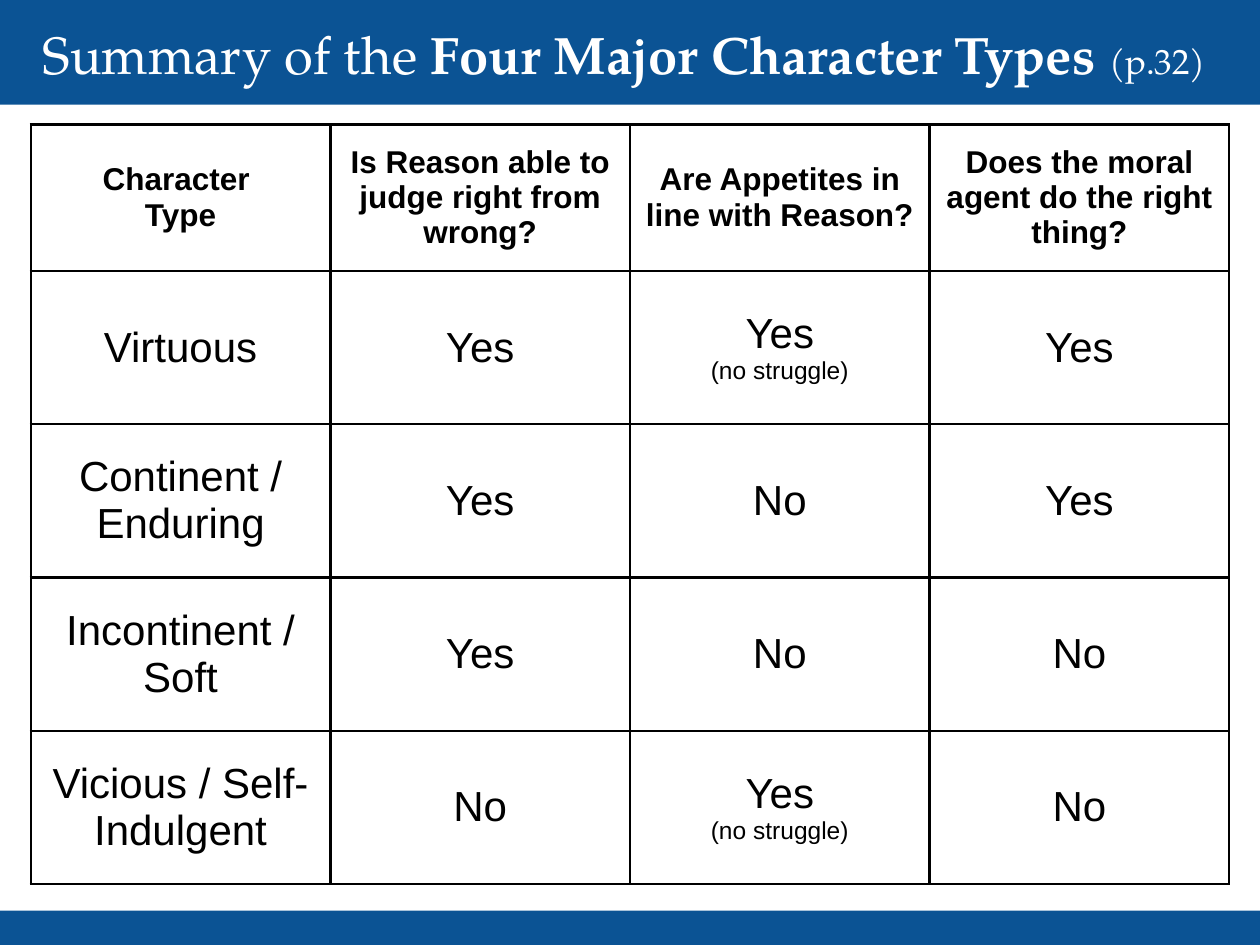
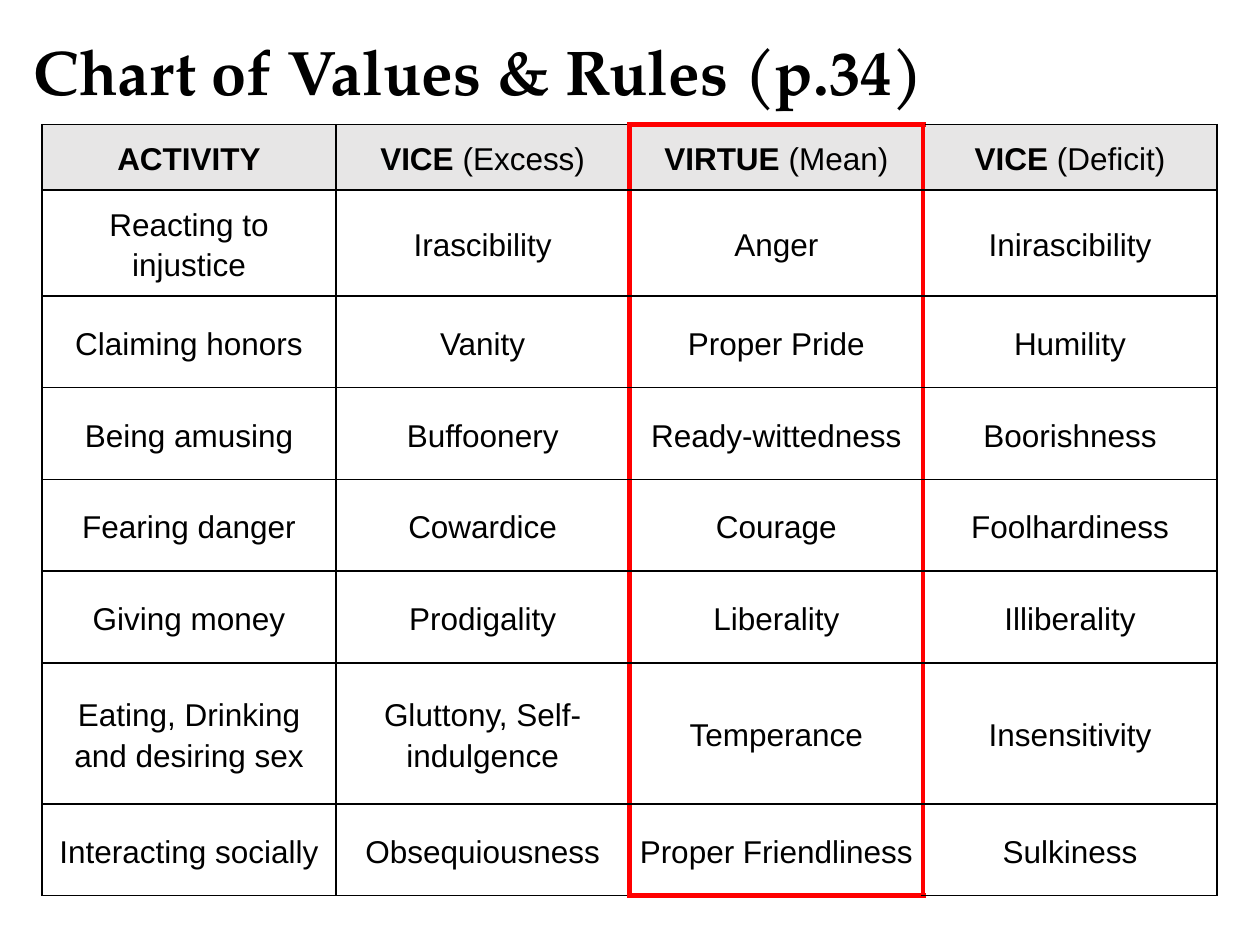
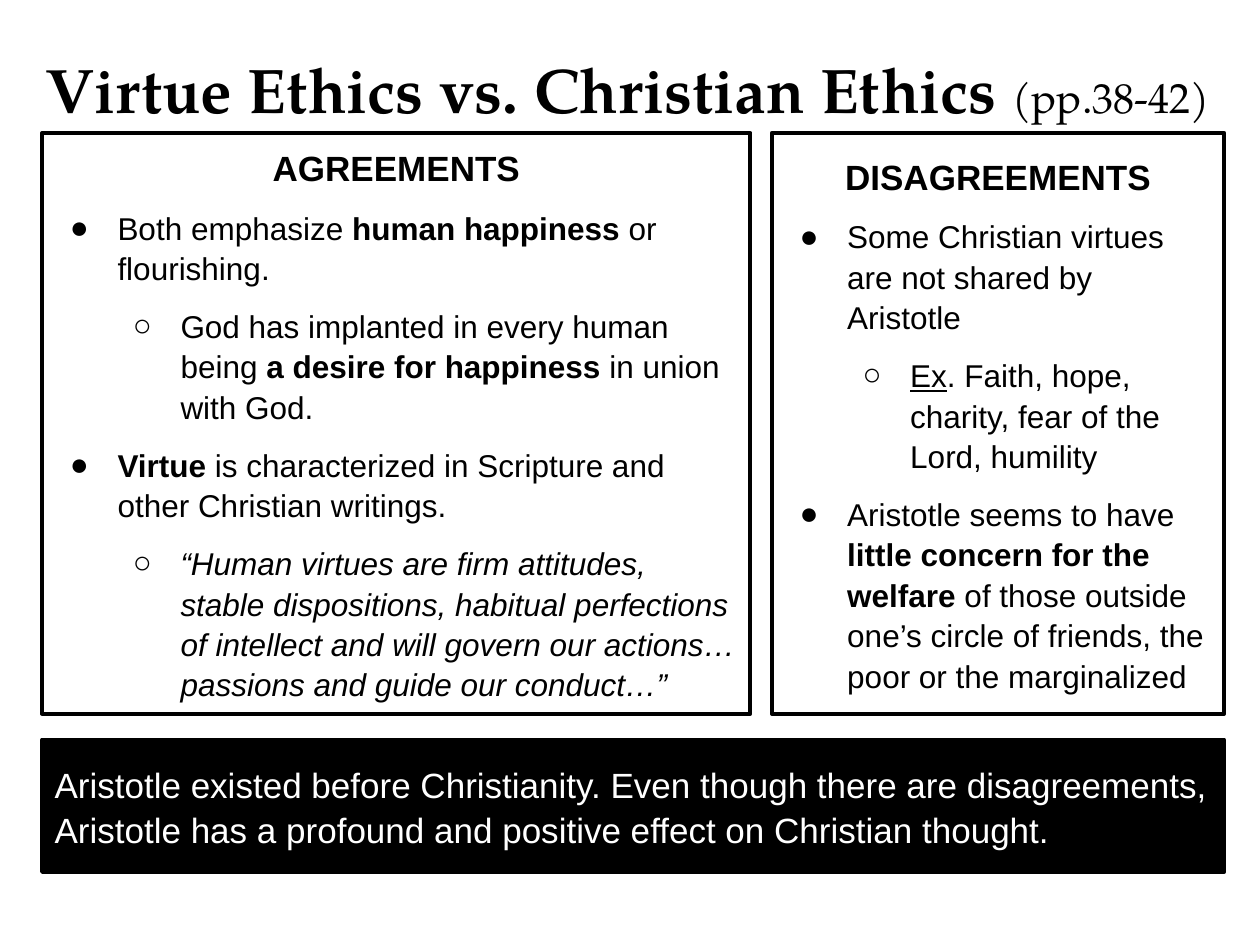
from dataclasses import dataclass
from typing import NamedTuple, Optional, Sequence

from lxml import etree
from pptx import Presentation
from pptx import util as u
from pptx.dml.color import RGBColor
from pptx.enum import shapes, text
from pptx.oxml import ns

Cm, Pt = u.Cm, u.Pt


@dataclass(frozen=True)
class Theme:
    blue: str = "0B5394"
    black: str = "000000"
    white: str = "FFFFFF"
    gray: str = "E7E6E6"
    red: str = "FF0000"
    title_font: str = "TeX Gyre Pagella"
    body_font: str = "Arial"
    title: int = 36
    band_title: int = 30
    heading: int = 20
    body: int = 18
    answer: int = 24
    note: int = 14
    inset: float = 0.25
    cell_side: float = 0.18
    gap: int = 10
    panel_line: float = 2.25


T = Theme()


class Box(NamedTuple):
    left: float
    top: float
    width: float
    height: float


class Run(NamedTuple):
    text: str
    bold: bool = False
    italic: bool = False
    underline: bool = False
    size: Optional[int] = None


class Para(NamedTuple):
    runs: Sequence[Run]
    size: int = T.body
    centered: bool = False
    level: Optional[int] = None


class Border(NamedTuple):
    color: str
    width: float


@dataclass(frozen=True)
class Grid:
    left: float
    top: float
    col_width: float
    row_heights: Sequence[float]
    border: Border
    spacing: Optional[float] = None
    side: float = T.inset
    header_fill: Optional[str] = None
    marked_col: Optional[int] = None
    mark: Border = Border(T.red, 3)


@dataclass(frozen=True)
class Panel:
    box: Box
    paras: Sequence[Para]
    fill: Optional[str] = None
    color: str = T.black


def rgb(color: str) -> RGBColor:
    return RGBColor.from_string(color)


def cm(box: Box) -> list:
    return [Cm(v) for v in box]


def set_insets(target, side: float = T.inset) -> None:
    target.margin_left = target.margin_right = Cm(side)
    target.margin_top = target.margin_bottom = Cm(T.inset)


def add_runs(p, runs: Sequence[Run], size: int, color: str, font: str) -> None:
    for run in runs:
        r = p.add_run()
        r.text = run.text
        f = r.font
        f.name, f.size = font, Pt(run.size or size)
        f.bold, f.italic, f.underline = run.bold, run.italic, run.underline
        f.color.rgb = rgb(color)


def set_bullet(p, level: int) -> None:
    p.level = level
    pPr = p._p.get_or_add_pPr()
    pPr.set("marL", str(Cm(1.27 * (level + 1))))
    pPr.set("indent", str(-Cm(0.96)))
    clr = etree.SubElement(pPr, ns.qn("a:buClr"))
    etree.SubElement(clr, ns.qn("a:srgbClr"), val=T.black)
    etree.SubElement(pPr, ns.qn("a:buFont"), typeface=T.body_font)
    etree.SubElement(pPr, ns.qn("a:buChar"), char="●○"[level])


def write(tf, paras: Sequence[Para], color: str = T.black,
          spacing: Optional[float] = None) -> None:
    for i, para in enumerate(paras):
        p = tf.add_paragraph() if i else tf.paragraphs[0]
        p.alignment = (text.PP_ALIGN.CENTER if para.centered
                       else text.PP_ALIGN.LEFT)
        if spacing:
            p.line_spacing = spacing
        if para.level is not None:
            p.space_before = Pt(T.gap)
            set_bullet(p, para.level)
        add_runs(p, para.runs, para.size, color, T.body_font)


def add_slide(prs, box: Box, runs: Sequence[Run], size: int = T.title,
              color: str = T.black):
    s = prs.slides.add_slide(prs.slide_layouts[5])
    sp = s.shapes.title
    sp.left, sp.top, sp.width, sp.height = cm(box)
    tf = sp.text_frame
    tf.word_wrap = True
    tf.auto_size = text.MSO_AUTO_SIZE.NONE
    tf.vertical_anchor = text.MSO_ANCHOR.TOP
    set_insets(tf)
    p = tf.paragraphs[0]
    p.alignment = text.PP_ALIGN.LEFT
    add_runs(p, runs, size, color, T.title_font)
    return s


def add_rect(s, box: Box, fill: Optional[str], line: Optional[str]):
    sp = s.shapes.add_shape(shapes.MSO_SHAPE.RECTANGLE, *cm(box))
    sp.shadow.inherit = False
    if fill:
        sp.fill.solid()
        sp.fill.fore_color.rgb = rgb(fill)
    else:
        sp.fill.background()
    if line:
        sp.line.color.rgb = rgb(line)
        sp.line.width = Pt(T.panel_line)
    else:
        sp.line.fill.background()
    return sp


def add_band(s, top: float, height: float) -> None:
    band = add_rect(s, Box(0, top, 25.4, height), T.blue, None)
    s.shapes.title.element.addprevious(band.element)


def add_panel(s, panel: Panel) -> None:
    tf = add_rect(s, panel.box, panel.fill, T.black).text_frame
    tf.word_wrap = True
    tf.vertical_anchor = text.MSO_ANCHOR.MIDDLE
    set_insets(tf)
    write(tf, panel.paras, panel.color, spacing=1.07)


def set_borders(cell, borders: dict) -> None:
    tcPr = cell._tc.get_or_add_tcPr()
    for i, side in enumerate("LRTB"):
        border = borders[side]
        ln = etree.Element(ns.qn(f"a:ln{side}"), w=str(Pt(border.width)))
        fill = etree.SubElement(ln, ns.qn("a:solidFill"))
        etree.SubElement(fill, ns.qn("a:srgbClr"), val=border.color)
        tcPr.insert(i, ln)


def cell_borders(grid: Grid, row: int, col: int) -> dict:
    borders = dict.fromkeys("LRTB", grid.border)
    m = grid.marked_col
    if m is not None:
        last = len(grid.row_heights) - 1
        marked = {"L": col in (m, m + 1), "R": col in (m - 1, m),
                  "T": col == m and row == 0,
                  "B": col == m and row == last}
        borders.update({side: grid.mark for side in marked if marked[side]})
    return borders


def add_grid(s, grid: Grid, rows: Sequence[Sequence[Sequence[Para]]]) -> None:
    n_cols = len(rows[0])
    box = Box(grid.left, grid.top, grid.col_width * n_cols,
              sum(grid.row_heights))
    tbl = s.shapes.add_table(len(rows), n_cols, *cm(box)).table
    tbl.first_row = tbl.horz_banding = False
    for column in tbl.columns:
        column.width = Cm(grid.col_width)
    for i, row in enumerate(rows):
        tbl.rows[i].height = Cm(grid.row_heights[i])
        for j, paras in enumerate(row):
            cell = tbl.cell(i, j)
            cell.vertical_anchor = text.MSO_ANCHOR.MIDDLE
            set_insets(cell, grid.side)
            if grid.header_fill and i == 0:
                cell.fill.solid()
                cell.fill.fore_color.rgb = rgb(grid.header_fill)
            else:
                cell.fill.background()
            set_borders(cell, cell_borders(grid, i, j))
            write(cell.text_frame, paras, spacing=grid.spacing)


def centered(value: str, size: int = T.body, bold: bool = False) -> Para:
    return Para([Run(value, bold)], size, centered=True)


def character_types(prs) -> None:
    s = add_slide(prs, Box(0.61, 0.2, 25.17, 2.11),
                  [Run("Summary of the "),
                   Run("Four Major Character Types ", bold=True),
                   Run("(p.32)", size=T.heading)],
                  T.band_title, T.white)
    add_band(s, 0, 2.11)
    add_band(s, 18.36, 0.69)
    questions = ["Is Reason able to judge right from wrong?",
                 "Are Appetites in line with Reason?",
                 "Does the moral agent do the right thing?"]
    header = [[centered(line, bold=True) for line in ("Character ", "Type")]]
    header += [[centered(q, bold=True)] for q in questions]
    note = centered("(no struggle)", T.note)
    answers = [("Virtuous", "Yes", "Yes", "Yes"),
               ("Continent / Enduring", "Yes", "No", "Yes"),
               ("Incontinent / Soft", "Yes", "No", "No"),
               ("Vicious / Self-Indulgent", "No", "Yes", "No")]
    rows = [[[centered(a, T.answer)] + ([note] if (j, a) == (2, "Yes") else [])
             for j, a in enumerate(row)] for row in answers]
    add_grid(s, Grid(0.62, 2.51, 6.04, [2.95] + [3.09] * 4,
                     Border(T.black, 1.5)), [header] + rows)


def values_chart(prs) -> None:
    s = add_slide(prs, Box(0.43, 0.41, 23.67, 2.11),
                  [Run("Chart of Values & Rules (p.34)", bold=True)])
    labels = [("ACTIVITY", ""), ("VICE ", "(Excess)"),
              ("VIRTUE ", "(Mean)"), ("VICE ", "(Deficit)")]
    header = [[Para([Run(name, bold=True)] + ([Run(kind)] if kind else []),
                    centered=True)] for name, kind in labels]
    values = [
        ("Reacting to injustice", "Irascibility", "Anger", "Inirascibility"),
        ("Claiming honors", "Vanity", "Proper Pride", "Humility"),
        ("Being amusing", "Buffoonery", "Ready-wittedness", "Boorishness"),
        ("Fearing danger", "Cowardice", "Courage", "Foolhardiness"),
        ("Giving money", "Prodigality", "Liberality", "Illiberality"),
        ("Eating, Drinking and desiring sex", "Gluttony, Self-indulgence",
         "Temperance", "Insensitivity"),
        ("Interacting socially", "Obsequiousness", "Proper Friendliness",
         "Sulkiness"),
    ]
    rows = [[[centered(v)] for v in row] for row in values]
    add_grid(s, Grid(0.85, 2.51, 5.92, [1.22] + [1.85] * 5 + [2.84, 1.85],
                     Border(T.black, 1), spacing=1.15, side=T.cell_side,
                     header_fill=T.gray, marked_col=2), [header] + rows)


def ethics_comparison(prs) -> None:
    s = add_slide(prs, Box(0.66, 0.76, 24.28, 2.11),
                  [Run("Virtue Ethics vs. Christian Ethics ", bold=True),
                   Run("(pp.38-42)", size=T.answer)])
    agreements = [
        centered("AGREEMENTS", T.heading, bold=True),
        Para([Run("Both emphasize "), Run("human happiness", bold=True),
              Run(" or flourishing.")], level=0),
        Para([Run("God has implanted in every human being "),
              Run("a desire for happiness", bold=True),
              Run(" in union with God.")], level=1),
        Para([Run("Virtue", bold=True),
              Run(" is characterized in Scripture and other Christian "
                  "writings.")], level=0),
        Para([Run("“Human virtues are firm attitudes, stable dispositions, "
                  "habitual perfections of intellect and will govern our "
                  "actions… passions and guide our conduct…”",
                  italic=True)], level=1),
    ]
    disagreements = [
        centered("DISAGREEMENTS", T.heading, bold=True),
        Para([Run("Some Christian virtues are not shared by Aristotle")],
             level=0),
        Para([Run("Ex", underline=True),
              Run(". Faith, hope, charity, fear of the Lord, humility")],
             level=1),
        Para([Run("Aristotle seems to have "),
              Run("little concern for the welfare", bold=True),
              Run(" of those outside one’s circle of friends, the poor or "
                  "the marginalized")], level=0),
    ]
    conclusion = [Para([Run(
        "Aristotle existed before Christianity. Even though there are "
        "disagreements, Aristotle has a profound and positive effect on "
        "Christian thought.")], T.heading)]
    for panel in (
        Panel(Box(0.85, 2.68, 14.28, 11.71), agreements),
        Panel(Box(15.56, 2.68, 9.12, 11.71), disagreements),
        Panel(Box(0.85, 14.91, 23.83, 2.67), conclusion, T.black, T.white),
    ):
        add_panel(s, panel)


def main() -> None:
    prs = Presentation()
    prs.slide_width, prs.slide_height = Cm(25.4), Cm(19.05)
    character_types(prs)
    values_chart(prs)
    ethics_comparison(prs)
    prs.save("out.pptx")


if __name__ == "__main__":
    main()
